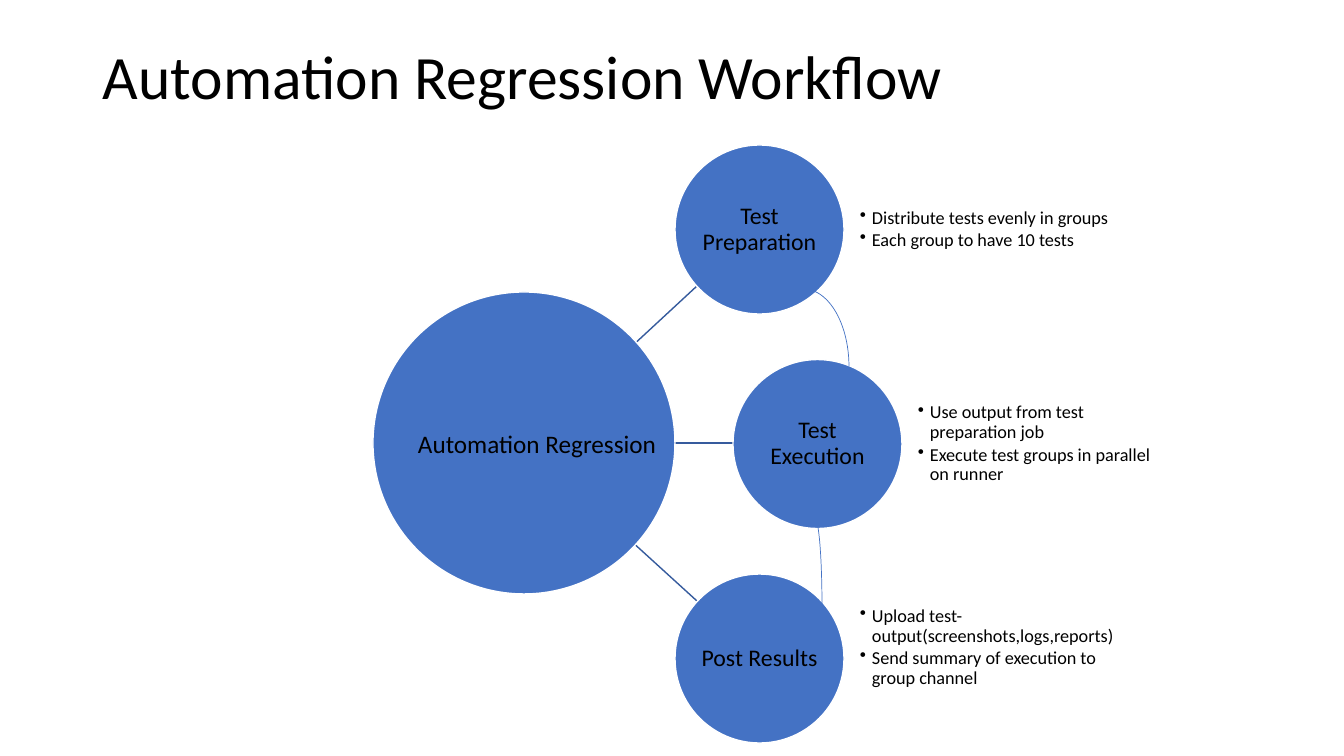
from dataclasses import dataclass

from lxml import etree
from pptx import Presentation
from pptx import util as u
from pptx.dml.color import RGBColor
from pptx.enum import shapes, text
from pptx.oxml.ns import qn

TITLE = "Automation Regression Workflow"
HUB = "Automation Regression"
STAGES = [
    ("Test Preparation", ["Distribute tests evenly in groups",
                          "Each group to have 10 tests"]),
    ("Test Execution", ["Use output from test preparation job",
                        "Execute test groups in parallel on runner"]),
    ("Post Results", ["Upload test-output(screenshots,logs,reports)",
                      "Send summary of execution to group channel"]),
]


@dataclass(frozen=True)
class Theme:
    font: str = "Calibri"
    ink: str = "000000"
    circle: str = "4472C4"
    edge: str = "FFFFFF"
    spoke: str = "365B9D"
    title: int = 44
    hub: int = 18
    stage: int = 17
    detail: int = 13


THEME = Theme()
HUB_LEFT, HUB_TOP, HUB_SIZE = 373, 292, 302
STAGE_TOP, STAGE_PITCH, STAGE_SIZE = 145, 214.5, 169
STAGE_LEFTS = [675, 733, 675]
SPOKES = [(630, 348, 697, 286), (630, 443, 733, 443), (630, 540, 697, 601)]
LINKS = [(758, 289, 91, 155), (808, 519, 14, 172)]
DETAIL_GAP, DETAIL_WIDTH = 16, 254
DETAIL_BOTTOMS = [0, 0, 22]
LABEL_INSET = 24
BULLET_INDENT = 12


def px(value):
    return round(value * 914400 / 100.8)


def box(*values):
    return [px(value) for value in values]


def stroke(line, color, width):
    line.color.rgb = RGBColor.from_string(color)
    line.width = u.Pt(width)


def add_text(slide, lines, area, *, size, align=text.PP_ALIGN.LEFT,
             anchor=text.MSO_ANCHOR.MIDDLE, insets=(0, 0, 0, 0),
             spacing=0.9, after=0, bullet=False):
    frame = slide.shapes.add_textbox(*box(*area)).text_frame
    frame.word_wrap = True
    frame.vertical_anchor = anchor
    (frame.margin_left, frame.margin_top,
     frame.margin_right, frame.margin_bottom) = box(*insets)
    for index, line in enumerate(lines):
        paragraph = frame.paragraphs[0] if index == 0 else frame.add_paragraph()
        paragraph.alignment = align
        paragraph.line_spacing = spacing
        paragraph.space_after = u.Pt(after)
        run = paragraph.add_run()
        run.text = line
        run.font.name = THEME.font
        run.font.size = u.Pt(size)
        run.font.color.rgb = RGBColor.from_string(THEME.ink)
        if bullet:
            props = paragraph._p.get_or_add_pPr()
            props.set("marL", str(px(BULLET_INDENT)))
            props.set("indent", str(-px(BULLET_INDENT)))
            etree.SubElement(props, qn("a:buChar")).set("char", "•")


def add_circle(slide, left, top, size):
    circle = slide.shapes.add_shape(shapes.MSO_SHAPE.OVAL,
                                    *box(left, top, size, size))
    circle.shadow.inherit = False
    circle.fill.solid()
    circle.fill.fore_color.rgb = RGBColor.from_string(THEME.circle)
    stroke(circle.line, THEME.edge, 1)


def add_spoke(slide, ends):
    spoke = slide.shapes.add_connector(shapes.MSO_CONNECTOR.STRAIGHT, *box(*ends))
    stroke(spoke.line, THEME.spoke, 1)
    etree.SubElement(spoke._element.spPr, qn("a:effectLst"))


def add_link(slide, area):
    link = slide.shapes.add_shape(shapes.MSO_SHAPE.ARC, *box(*area))
    link.shadow.inherit = False
    link.fill.background()
    stroke(link.line, THEME.circle, 0.5)


def add_stage(slide, index, name, details):
    left, top = STAGE_LEFTS[index], STAGE_TOP + index * STAGE_PITCH
    add_circle(slide, left, top, STAGE_SIZE)
    label_size = STAGE_SIZE - 2 * LABEL_INSET
    add_text(slide, [name],
             (left + LABEL_INSET, top + LABEL_INSET, label_size, label_size),
             size=THEME.stage, align=text.PP_ALIGN.CENTER, insets=(1, 1, 1, 1))
    add_text(slide, details,
             (left + STAGE_SIZE + DETAIL_GAP, top, DETAIL_WIDTH, STAGE_SIZE),
             size=THEME.detail, insets=(0, 0, 0, DETAIL_BOTTOMS[index]),
             after=2, bullet=True)


def main():
    deck = Presentation()
    deck.slide_width, deck.slide_height = box(1344, 756)
    slide = deck.slides.add_slide(deck.slide_layouts[6])
    for ends in SPOKES:
        add_spoke(slide, ends)
    add_circle(slide, HUB_LEFT, HUB_TOP, HUB_SIZE)
    for index, (name, details) in enumerate(STAGES):
        add_stage(slide, index, name, details)
    for area in LINKS:
        add_link(slide, area)
    add_text(slide, [HUB], (408, 423, 283, 40), size=THEME.hub, spacing=1.0,
             anchor=text.MSO_ANCHOR.TOP, insets=(10, 5, 10, 5))
    add_text(slide, [TITLE], (93, 40, 1159, 80), size=THEME.title,
             insets=(10, 5, 10, 5))
    deck.save("out.pptx")


if __name__ == "__main__":
    main()
